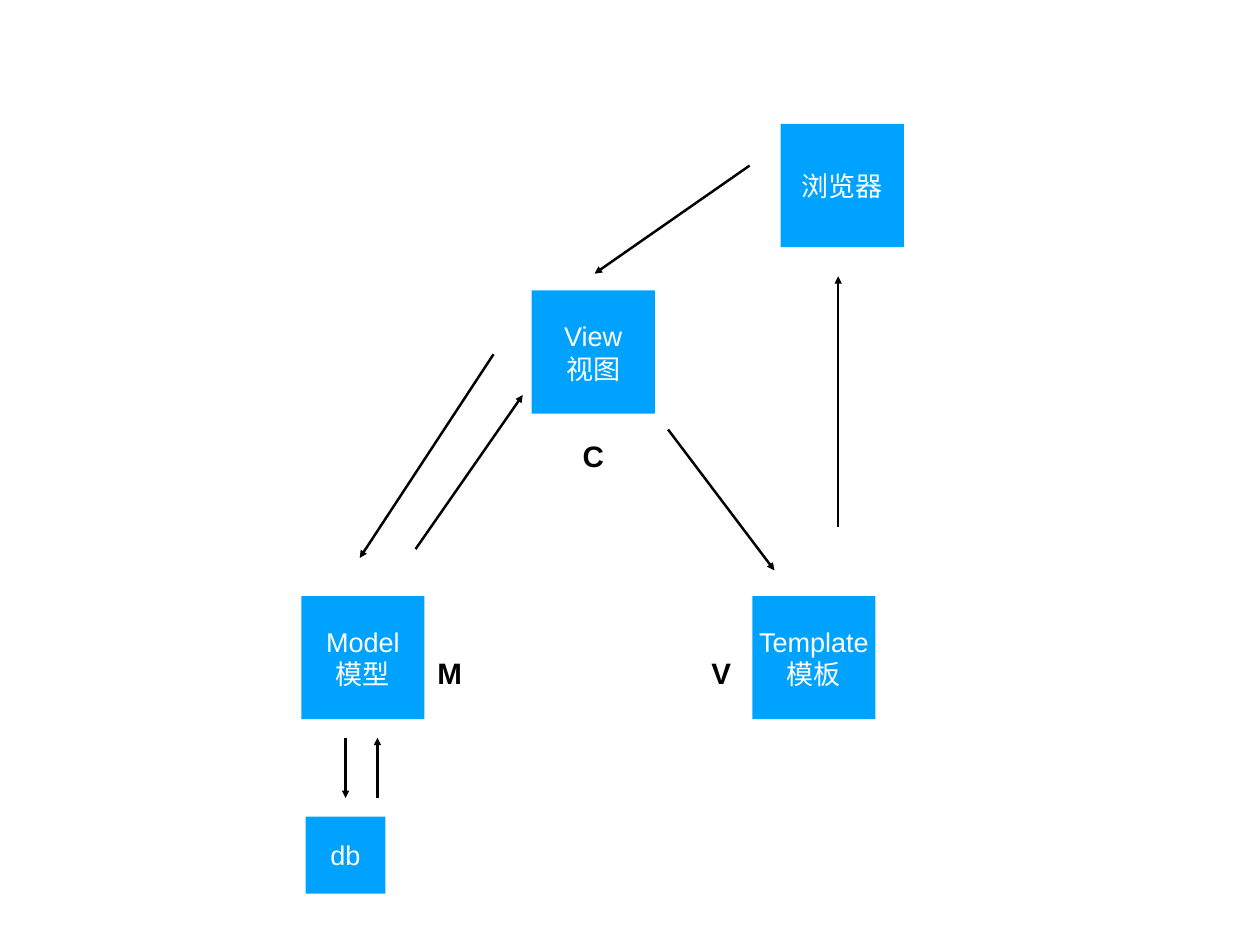
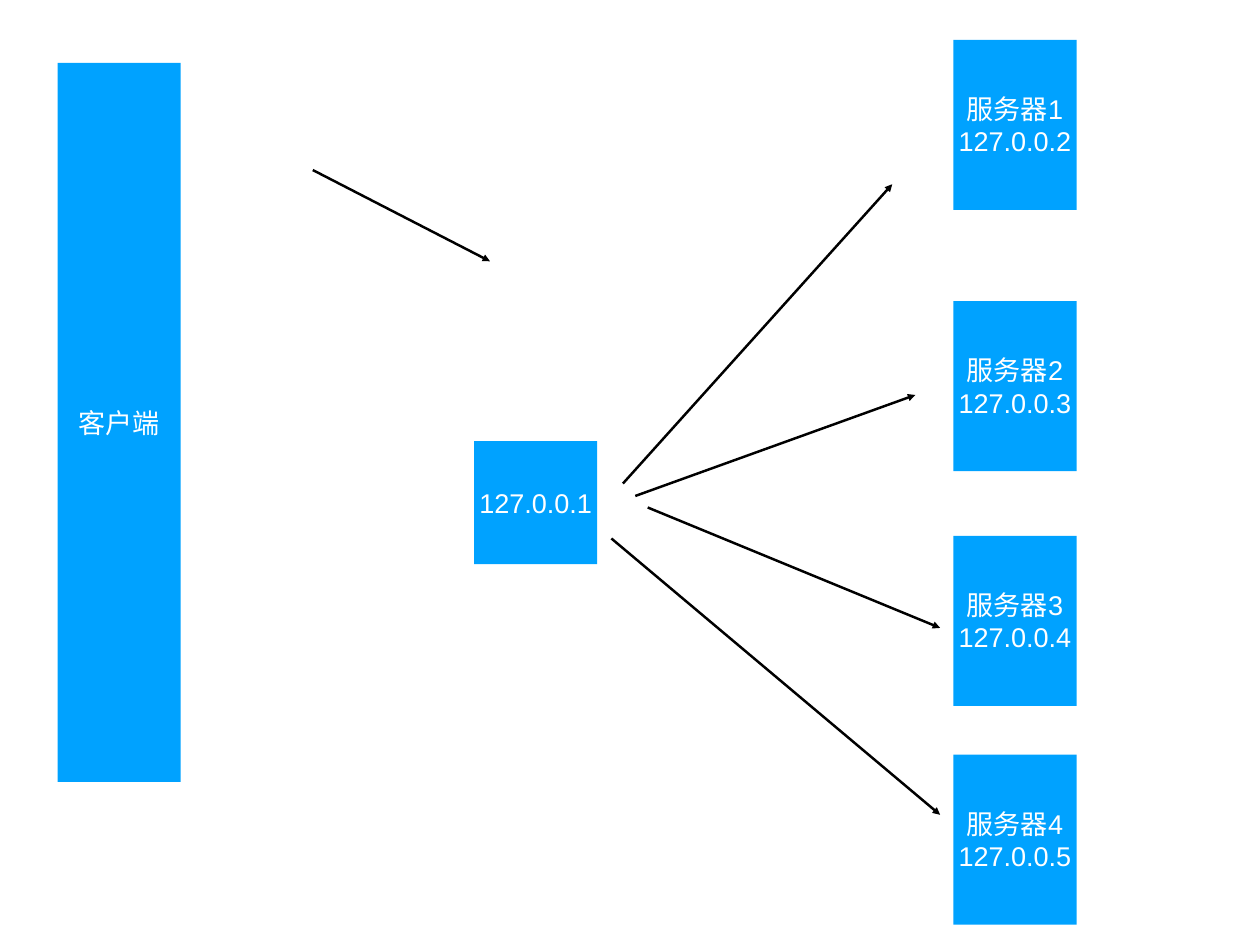
import dataclasses

import lxml.etree
import pptx
import pptx.dml.color
import pptx.enum.shapes
import pptx.enum.text
import pptx.oxml.ns
import pptx.shapes.base
import pptx.slide
import pptx.util

PX = 9144  # EMU per px, 100 px to the inch
COLORS = {"box": "00A2FF", "box_text": "FFFFFF", "ink": "000000"}
FONT = "Arial"
BOX = 139
SERVER_HEIGHT = 192


@dataclasses.dataclass(frozen=True)
class Box:
    text: str
    left: int
    top: int
    width: int = BOX
    height: int = BOX


@dataclasses.dataclass(frozen=True)
class Label:
    text: str
    left: int
    top: int
    width: int
    height: int = 50


@dataclasses.dataclass(frozen=True)
class Arrow:
    x1: int
    y1: int
    x2: int
    y2: int


MVT_BOXES = [
    Box("View\n视图", 600, 328),
    Box("Model\n模型", 340, 673),
    Box("Template\n模板", 849, 673),
    Box("浏览器", 881, 140),
    Box("db", 345, 922, 90, 87),
]
MVT_LABELS = [
    Label("C", 651, 490, 37),
    Label("M", 486, 735, 43),
    Label("V", 797, 735, 34),
]
MVT_ARROWS = [
    Arrow(846, 187, 671, 309),
    Arrow(557, 400, 406, 630),
    Arrow(390, 833, 390, 901),
    Arrow(426, 901, 426, 833),
    Arrow(469, 620, 590, 446),
    Arrow(754, 485, 874, 644),
    Arrow(946, 595, 946, 312),
]

SERVER_TOPS = [45, 340, 605, 852]
PROXY_BOXES = [
    Box("客户端", 65, 71, height=812),
    *(Box(f"服务器{n}\n127.0.0.{n + 1}", 1076, top, height=SERVER_HEIGHT)
      for n, top in enumerate(SERVER_TOPS, 1)),
    Box("127.0.0.1", 535, 498),
]
PROXY_ARROWS = [
    Arrow(703, 546, 1007, 208),
    Arrow(717, 560, 1033, 446),
    Arrow(731, 573, 1061, 709),
    Arrow(690, 608, 1061, 920),
    Arrow(353, 192, 553, 295),
]


def px(*lengths: int) -> list[pptx.util.Emu]:
    return [pptx.util.Emu(length * PX) for length in lengths]


def rgb(name: str) -> pptx.dml.color.RGBColor:
    return pptx.dml.color.RGBColor.from_string(COLORS[name])


def set_text(sp: pptx.shapes.base.BaseShape, text: str, *, size: int,
             color: str, bold: bool = False, wrap: bool = True) -> None:
    """Fill a shape with centred text, one paragraph per line."""
    tf = sp.text_frame
    tf.word_wrap = wrap
    tf.vertical_anchor = pptx.enum.text.MSO_ANCHOR.MIDDLE
    inset = pptx.util.Pt(4)
    tf.margin_left = tf.margin_right = tf.margin_top = tf.margin_bottom = inset
    tf.text = text
    for p in tf.paragraphs:
        p.alignment = pptx.enum.text.PP_ALIGN.CENTER
        for r in p.runs:
            r.font.name = FONT
            r.font.size = pptx.util.Pt(size)
            r.font.bold = bold
            r.font.color.rgb = rgb(color)


def draw_box(s: pptx.slide.Slide, box: Box) -> None:
    sp = s.shapes.add_shape(pptx.enum.shapes.MSO_SHAPE.RECTANGLE,
                            *px(box.left, box.top, box.width, box.height))
    sp.shadow.inherit = False
    sp.fill.solid()
    sp.fill.fore_color.rgb = rgb("box")
    sp.line.fill.background()
    set_text(sp, box.text, size=22, color="box_text")


def draw_label(s: pptx.slide.Slide, label: Label) -> None:
    sp = s.shapes.add_textbox(*px(label.left, label.top, label.width, label.height))
    set_text(sp, label.text, size=24, color="ink", bold=True, wrap=False)
    sp.text_frame.auto_size = pptx.enum.text.MSO_AUTO_SIZE.SHAPE_TO_FIT_TEXT


def draw_arrow(s: pptx.slide.Slide, arrow: Arrow) -> None:
    sp = s.shapes.add_connector(pptx.enum.shapes.MSO_CONNECTOR.STRAIGHT,
                                *px(arrow.x1, arrow.y1, arrow.x2, arrow.y2))
    sp.line.color.rgb = rgb("ink")
    sp.line.width = pptx.util.Pt(2)
    qn = pptx.oxml.ns.qn
    ln = sp.line._get_or_add_ln()
    lxml.etree.SubElement(ln, qn("a:tailEnd"), type="triangle")
    lxml.etree.SubElement(sp._element.spPr, qn("a:effectLst"))


def add_diagram(prs: pptx.presentation.Presentation, boxes: list[Box],
                arrows: list[Arrow], labels: list[Label]) -> None:
    s = prs.slides.add_slide(prs.slide_layouts.get_by_name("Blank"))
    for box in boxes:
        draw_box(s, box)
    for label in labels:
        draw_label(s, label)
    for arrow in arrows:
        draw_arrow(s, arrow)


def main() -> None:
    prs = pptx.Presentation()
    prs.slide_width, prs.slide_height = px(1422, 1067)
    add_diagram(prs, MVT_BOXES, MVT_ARROWS, MVT_LABELS)
    add_diagram(prs, PROXY_BOXES, PROXY_ARROWS, [])
    prs.save("out.pptx")


if __name__ == "__main__":
    main()
